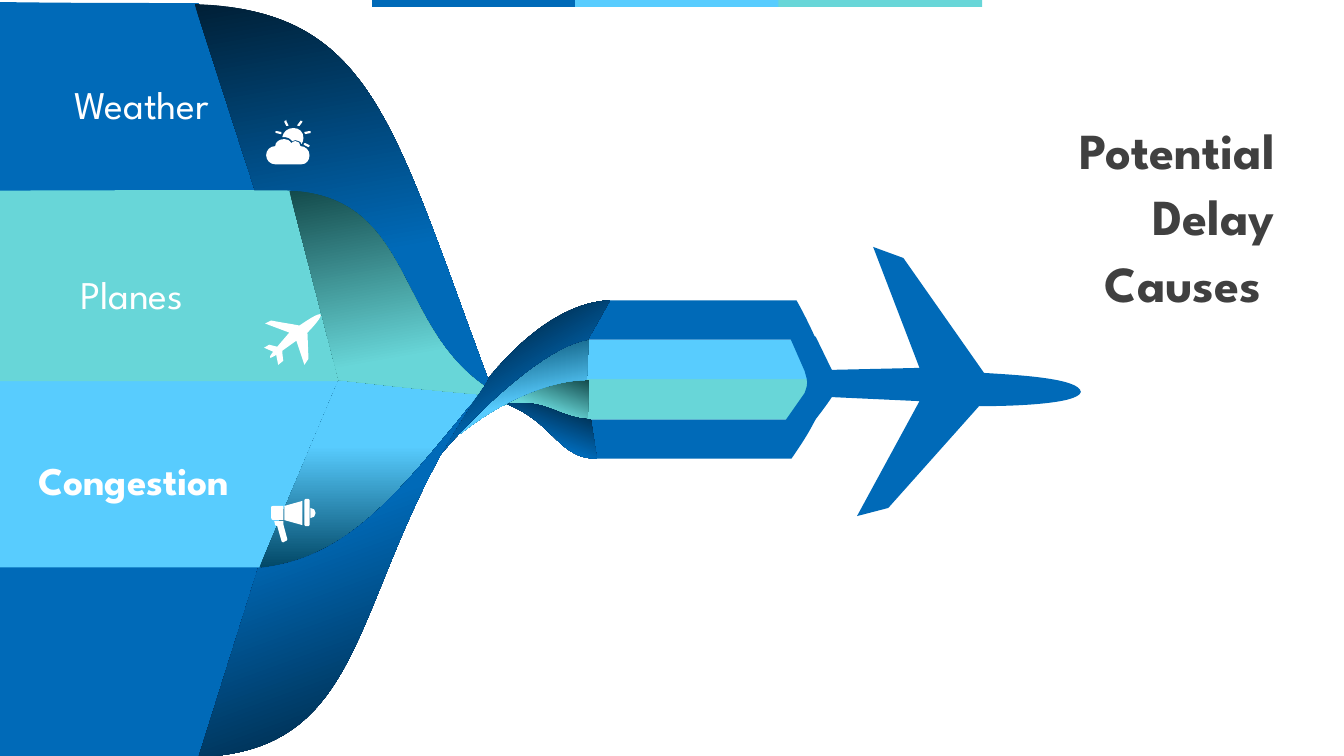
"""Builds a slide on which three ribbons of delay causes twist into the trail of an aeroplane."""
from lxml import etree
from pptx import Presentation, util as u
from pptx.dml import color
from pptx.enum import shapes, text
from pptx.oxml import ns

THEME = {
    "blue": "006AB8", "sky": "58CCFE", "teal": "68D6D8", "white": "FFFFFF", "ink": "404040",
    "font": "League Spartan", "title": 36, "label": 28,
    "blue fold": [(0, "002037"), (65, "006AB8"), (100, "006AB8")],
    "deep fold": [(0, "002037"), (29, "00355C"), (63, "006AB8"), (100, "006AB8")],
    "sky fold": [(0, "014766"), (65, "58CCFE"), (100, "58CCFE")],
    "teal fold": [(0, "144B4C"), (65, "68D6D8"), (100, "68D6D8")],
    "long teal fold": [(0, "144B4C"), (79, "68D6D8"), (100, "68D6D8")],
}
COLUMNS, ROWS = 1333, 750
CELL = u.Inches(0.01)
COMMANDS = {"M": "a:moveTo", "L": "a:lnTo", "C": "a:cubicBezTo", "Z": "a:close"}

deck = Presentation()
deck.slide_width, deck.slide_height = COLUMNS * CELL, ROWS * CELL
page = deck.slides.add_slide(deck.slide_layouts[6])


def add_outline(outline, fill, angle=None):
    """Draw an M/L/C/Z outline measured in grid cells, with a plain or graded fill."""
    for letter in COMMANDS:
        outline = outline.replace(letter, "|" + letter)
    steps = []
    for step in outline.split("|")[1:]:
        numbers = [int(n) * CELL for n in step[1:].split()]
        steps.append((step[0], list(zip(numbers[::2], numbers[1::2]))))
    corners = [points[-1] for letter, points in steps if points]
    builder = page.shapes.build_freeform(*corners[0])
    builder.add_line_segments(corners[1:], close=True)
    shape = builder.convert_to_shape()
    shape.shadow.inherit = False
    shape.line.fill.background()

    route = shape._element.spPr.find(".//" + ns.qn("a:path"))
    for child in list(route):
        route.remove(child)
    for letter, points in steps:
        command = etree.SubElement(route, ns.qn(COMMANDS[letter]))
        for x, y in points:
            etree.SubElement(command, ns.qn("a:pt"), x=str(x - shape.left), y=str(y - shape.top))

    if angle is None:
        shape.fill.solid()
        shape.fill.fore_color.rgb = color.RGBColor.from_string(THEME[fill])
        return
    shape.fill.gradient()
    shape.fill.gradient_angle = 360 - angle
    stops = shape._element.spPr.find(".//" + ns.qn("a:gsLst"))
    for stop in list(stops):
        stops.remove(stop)
    for share, tone in THEME[fill]:
        stop = etree.SubElement(stops, ns.qn("a:gs"), pos=str(share * 1000))
        etree.SubElement(stop, ns.qn("a:srgbClr"), val=tone)


def add_text(words, left, top, width, height, *, size="label", tone="white", bold=False,
             align=text.PP_ALIGN.CENTER, anchor=text.MSO_ANCHOR.TOP, spacing=None):
    """Add a one-paragraph text box placed in grid cells."""
    box = page.shapes.add_textbox(left * CELL, top * CELL, width * CELL, height * CELL)
    box.text_frame.word_wrap = True
    box.text_frame.vertical_anchor = anchor
    para = box.text_frame.paragraphs[0]
    para.alignment = align
    para.line_spacing = spacing
    span = para.add_run()
    span.text = words
    span.font.name = THEME["font"]
    span.font.size = u.Pt(THEME[size])
    span.font.bold = bold
    span.font.color.rgb = color.RGBColor.from_string(THEME[tone])


BAR_LEFT, BAR_PITCH, BAR_WIDTH, BAR_HEIGHT = 369, 201.5, 202, 7
for i, tone in enumerate(["blue", "sky", "teal"]):
    bar = page.shapes.add_shape(shapes.MSO_SHAPE.RECTANGLE, int((BAR_LEFT + i * BAR_PITCH) * CELL), 0,
                                BAR_WIDTH * CELL, BAR_HEIGHT * CELL)
    bar.shadow.inherit = False
    bar.line.fill.background()
    bar.fill.solid()
    bar.fill.fore_color.rgb = color.RGBColor.from_string(THEME[tone])

add_text("Potential Delay Causes ", 994, 115, 280, 192, size="title", tone="ink", bold=True,
         align=text.PP_ALIGN.RIGHT, anchor=text.MSO_ANCHOR.MIDDLE, spacing=1.1)

trail_stripes = [
    ("M 591 455 L 582 416 L 809 416 C 805 423 803 429 785 455 Z", "blue"),
    ("M 582 416 L 582 376 L 809 376 L 809 377 C 803 379 798 387 798 396"
     " C 798 405 803 413 809 415 L 809 416 Z", "teal"),
    ("M 582 376 L 582 337 L 809 337 C 803 339 798 347 798 356"
     " C 798 366 803 373 809 375 L 809 376 Z", "sky"),
    ("M 582 337 L 603 298 L 790 298 C 798 312 806 329 809 336 L 809 337 Z", "blue"),
]
trail_folds = [
    ("M 499 402 C 541 395 558 415 583 416 L 584 377 C 561 377 535 381 499 402 Z", "teal fold", 110),
    ("M 592 455 C 554 455 550 420 503 401 C 543 395 553 415 586 416 Z", "blue fold", 110),
    ("M 584 336 L 582 377 C 556 377 509 389 457 430 C 509 372 560 338 584 336 Z", "sky fold", 80),
    ("M 435 453 C 482 360 548 300 605 298 L 583 337 C 546 343 487 393 435 453 Z", "deep fold", 60),
]
cause_bands = [
    ("M 0 565 L 0 376 L 339 376 L 258 565 C 157 566 102 564 0 565 Z", "sky"),
    ("M 257 564 L 336 377 C 426 386 424 386 474 391 C 455 415 367 558 257 564 Z", "sky fold", 270),
    ("M 0 2 L 0 191 L 259 191 L 197 3 C 132 3 66 3 0 2 Z", "blue"),
    ("M 484 376 C 483 377 480 382 479 384 C 379 313 420 184 253 189 L 193 4"
     " C 367 11 388 117 484 376 Z", "blue fold", 80),
    ("M 0 189 L 0 378 L 339 378 L 288 189 C 187 188 102 189 0 189 Z", "teal"),
    ("M 287 189 L 336 377 C 391 383 405 385 474 391 C 480 382 476 387 480 383"
     " C 391 321 410 196 287 189 Z", "long teal fold", 80),
    ("M 0 752 L 0 563 L 259 563 L 198 751 C 132 752 66 752 0 752 Z", "blue"),
    ("M 466 403 C 388 499 340 555 256 564 L 197 751 C 370 745 346 585 466 403 Z", "blue fold", 250),
]
aeroplane = (
    "M 770 430 L 798 390 C 802 379 801 379 798 368 L 780 327 L 809 334 L 825 367 L 912 365"
    " L 866 245 L 896 256 L 976 370 C 1007 372 1071 375 1072 389 C 1069 401 1004 403 971 403"
    " L 881 504 L 850 512 L 912 398 L 825 394 C 818 405 798 430 798 430 Z", "blue")
megaphone = (
    "M 281 517 L 281 519 C 281 519 281 520 281 520 L 285 535 C 285 536 284 537 283 537 L 281 538"
    " C 280 538 279 538 279 536 L 275 522 C 274 522 274 521 273 521 L 272 517 Z"
    " M 308 504 C 311 504 313 506 313 509 C 313 512 311 514 308 514 C 308 511 308 507 308 504 Z"
    " M 271 502 L 281 502 L 281 516 L 271 516 C 270 516 269 515 269 514 L 269 503"
    " C 269 502 270 502 271 502 Z"
    " M 300 497 L 300 521 L 282 516 L 282 502 Z"
    " M 303 495 L 306 495 C 306 495 307 495 307 496 L 307 521 C 307 522 306 522 306 522 L 303 522"
    " C 302 522 302 522 302 521 L 302 496 C 302 495 302 495 303 495 Z", "white")
small_plane = (
    "M 276 362 L 274 352 C 273 353 269 355 268 355 C 267 353 270 351 271 349 L 262 345 L 267 342"
    " L 275 344 L 287 330 L 263 321 L 269 318 C 279 320 287 321 297 323 C 303 319 316 310 318 312"
    " C 320 314 310 325 305 330 L 306 356 L 302 362 L 294 338 L 280 348 C 280 351 281 358 281 358 Z",
    "white")
sun_and_cloud = (
    "M 302 142 L 303 142 L 307 144 L 307 145 L 306 146 L 302 144 L 301 143 Z"
    " M 282 138 C 285 138 287 139 289 142 C 290 141 291 140 293 140 C 296 140 298 142 298 145"
    " C 303 145 307 149 307 154 C 307 159 304 163 299 163 L 273 163 C 268 163 264 159 264 154"
    " C 264 149 268 145 273 145 C 273 141 277 138 282 138 Z"
    " M 307 130 L 308 130 L 308 132 L 303 133 L 302 132 L 302 131 Z"
    " M 274 130 L 279 131 L 279 133 L 278 133 L 274 132 L 273 131 Z"
    " M 291 127 C 297 127 301 131 301 137 C 301 139 300 142 299 143 C 299 141 296 139 293 139"
    " C 292 139 291 139 290 140 C 288 138 286 136 283 136 C 282 136 281 136 280 136"
    " C 281 131 285 127 291 127 Z"
    " M 298 119 L 298 120 L 300 120 L 300 121 L 297 125 L 295 125 L 295 124 L 298 120 Z"
    " M 284 119 L 284 120 L 286 124 L 286 125 L 284 125 L 282 121 L 282 120 L 283 120 Z", "white")

for piece in trail_stripes + trail_folds + cause_bands + [aeroplane, megaphone, small_plane, sun_and_cloud]:
    add_outline(*piece)

add_text("Weather", 44, 75, 193, 57)
add_text("Planes", 27, 263, 207, 57)
add_text("Congestion", 28, 448, 236, 57, bold=True, align=text.PP_ALIGN.LEFT)

deck.save("out.pptx")
